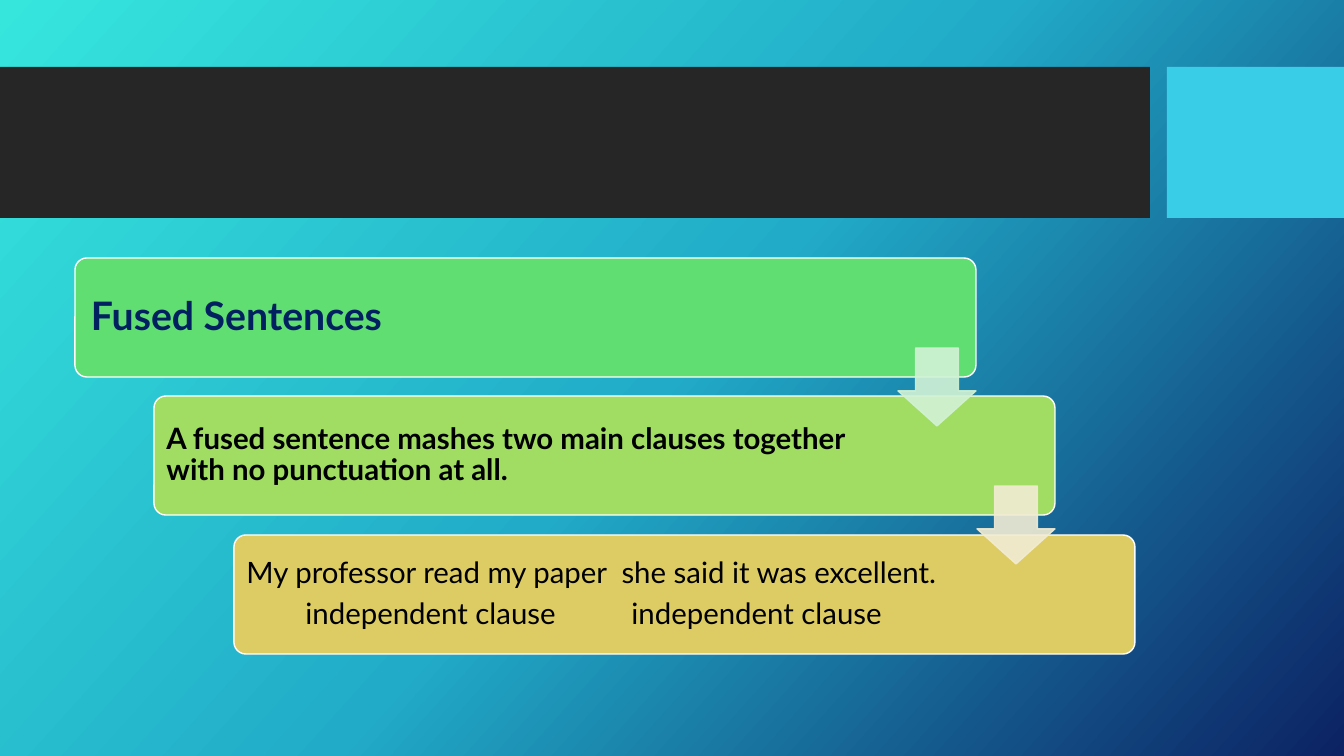
from lxml import etree
from pptx import Presentation
from pptx.dml.color import RGBColor
from pptx.enum.shapes import MSO_SHAPE
from pptx.enum.text import MSO_ANCHOR, MSO_AUTO_SIZE, PP_ALIGN
from pptx.oxml import parse_xml
from pptx.oxml.ns import nsdecls, qn
from pptx.util import Pt

RECT, ROUNDED = MSO_SHAPE.RECTANGLE, MSO_SHAPE.ROUNDED_RECTANGLE
DOWN_ARROW = MSO_SHAPE.DOWN_ARROW
MIDDLE, LEFT = MSO_ANCHOR.MIDDLE, PP_ALIGN.LEFT
NO_AUTOFIT = MSO_AUTO_SIZE.NONE
TITLE_ONLY = 5

SCALE = 914400 / 100.8  # EMU in one px
COLORS = {
    "sky": "36E6DD", "sea": "21ABC8", "night": "0C2263",
    "band": "262626", "tab": "39CDE7", "outline": "FFFFFF",
    "green": "60DE72", "lime": "A0DD62", "sand": "DDCC64",
    "pale green": "D2F2D5", "pale sand": "F2ECD3",
    "navy": "002060", "black": "000000",
}


def px(length):
    return round(length * SCALE)


def add_block(kind, left, top, width, height, fill, line=None):
    block = slide.shapes.add_shape(kind, px(left), px(top), px(width), px(height))
    block.shadow.inherit = False
    block.fill.solid()
    block.fill.fore_color.rgb = RGBColor.from_string(COLORS[fill])
    if line:
        block.line.color.rgb = RGBColor.from_string(COLORS[line])
        block.line.width = Pt(1)
    else:
        block.line.fill.background()
    return block


prs = Presentation()
prs.slide_width, prs.slide_height = px(1344), px(756)
slide = prs.slides.add_slide(prs.slide_layouts[TITLE_ONLY])
title = slide.shapes.title

# Diagonal gradient background
stops = "".join(
    f'<a:gs pos="{pos}"><a:srgbClr val="{COLORS[name]}"/></a:gs>'
    for pos, name in ((0, "sky"), (50000, "sea"), (100000, "night")))
slide.element.cSld.insert(0, parse_xml(
    f'<p:bg {nsdecls("p", "a")}><p:bgPr><a:gradFill><a:gsLst>{stops}</a:gsLst>'
    '<a:lin ang="2520000" scaled="0"/></a:gradFill><a:effectLst/></p:bgPr></p:bg>'))

# Header band
add_block(RECT, 0, 67, 1150, 151, "band")
add_block(RECT, 1167, 67, 177, 151, "tab")

# Staircase of cards: fill, text colour, size, bold, inset, lines
CARD_W, CARD_H, ARROW = 901, 119, 78
CLAUSE_TABS = (59, 385)
steps = [
    ("green", "navy", 28, True, 12, ["Fused Sentences"]),
    ("lime", "black", 21, True, 9,
     ["A fused sentence mashes two main clauses together with no punctuation at all."]),
    ("sand", "black", 21, False, 9,
     ["My professor read my paper  she said it was excellent.",
      "\tindependent clause\tindependent clause"]),
]
corners = [(75 + 159 * i // 2, 258 + 277 * i // 2) for i in range(len(steps))]

for (left, top), (fill, color, size, bold, inset, lines) in zip(corners, steps):
    card = add_block(ROUNDED, left, top, CARD_W, CARD_H, fill, "outline")
    card.adjustments[0] = 0.1
    frame = card.text_frame
    right_inset = 166
    if fill == "green":
        # The heading is the slide title, laid over the first card
        title.left, title.top = px(left + 4), px(top + 4)
        title.width, title.height = px(772), px(111)
        slide.shapes._spTree.append(title.element)
        frame, right_inset = title.text_frame, inset
    frame.word_wrap = True
    frame.auto_size = NO_AUTOFIT
    frame.vertical_anchor = MIDDLE
    frame.margin_left = frame.margin_top = frame.margin_bottom = px(inset)
    frame.margin_right = px(right_inset)
    for number, line in enumerate(lines):
        paragraph = frame.add_paragraph() if number else frame.paragraphs[0]
        paragraph.text = line
        if "\t" in line:
            tab_list = etree.SubElement(
                paragraph._p.get_or_add_pPr(), qn("a:tabLst"))
            for stop in CLAUSE_TABS:
                etree.SubElement(tab_list, qn("a:tab"), pos=str(px(stop)), algn="l")
        paragraph.alignment = LEFT
        paragraph.line_spacing = 0.9
        paragraph.space_after = Pt(round(0.35 * size))
        paragraph.font.name = "Lato"
        paragraph.font.size = Pt(size)
        paragraph.font.bold = bold
        paragraph.font.color.rgb = RGBColor.from_string(COLORS[color])

# Arrows from each card to the next, slightly transparent
for (left, top), pale in zip(corners, ("pale green", "pale sand")):
    arrow = add_block(DOWN_ARROW, left + CARD_W - ARROW, top + 90,
                      ARROW, ARROW, pale, pale)
    arrow.adjustments[0], arrow.adjustments[1] = 0.55, 0.45
    for tint in arrow.element.spPr.iter(qn("a:srgbClr")):
        etree.SubElement(tint, qn("a:alpha"), val="90000")

prs.save("out.pptx")
